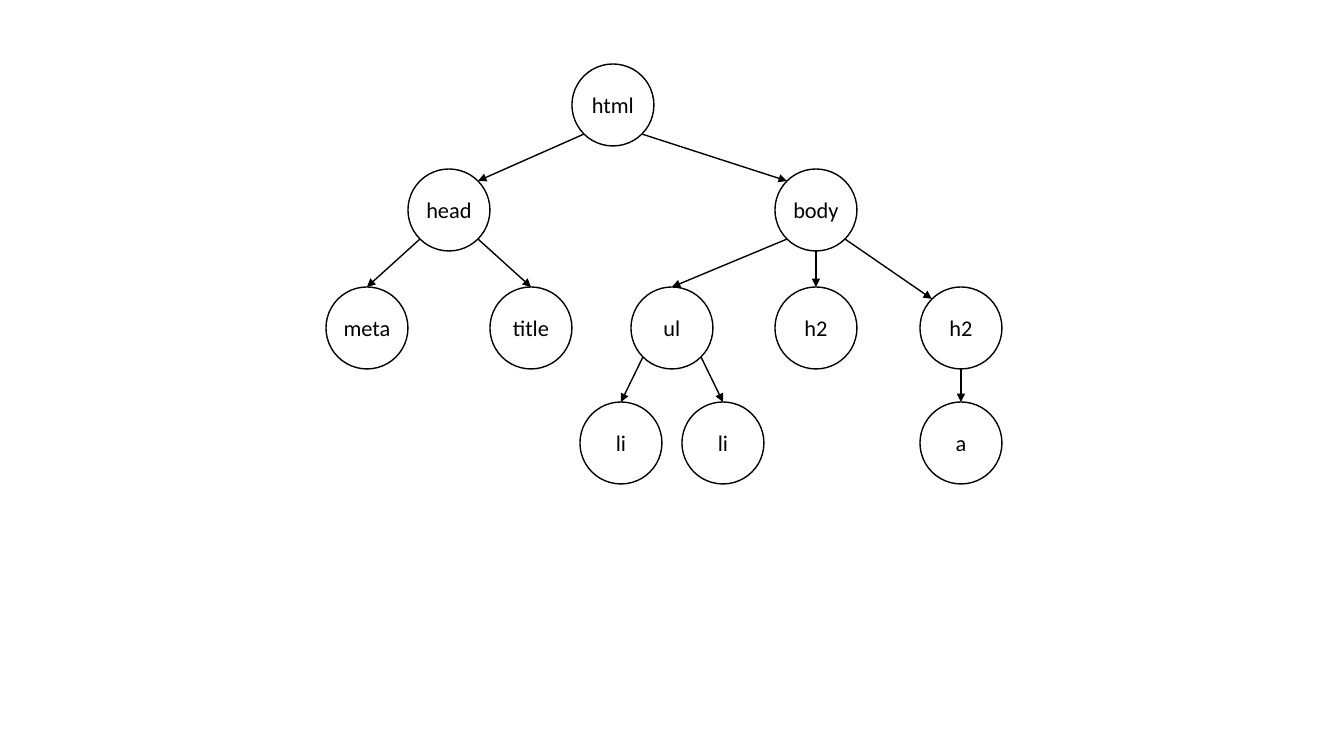
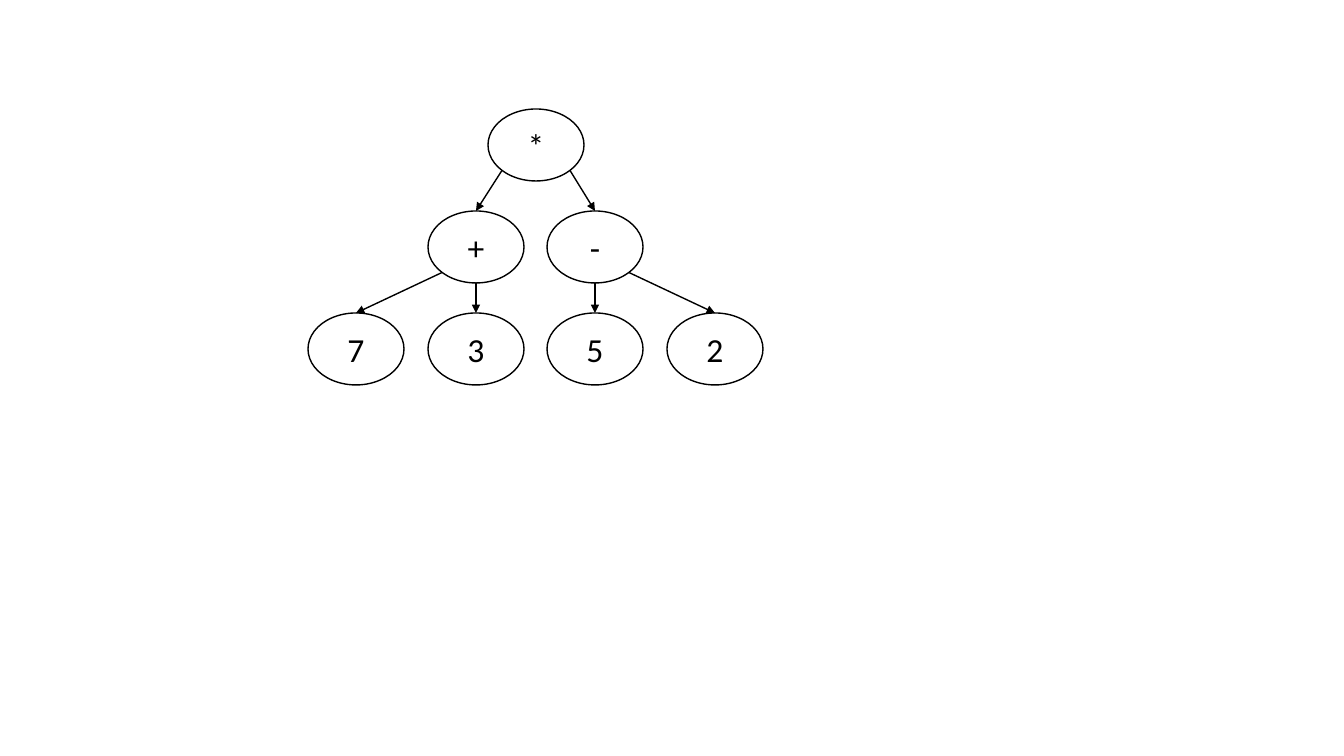
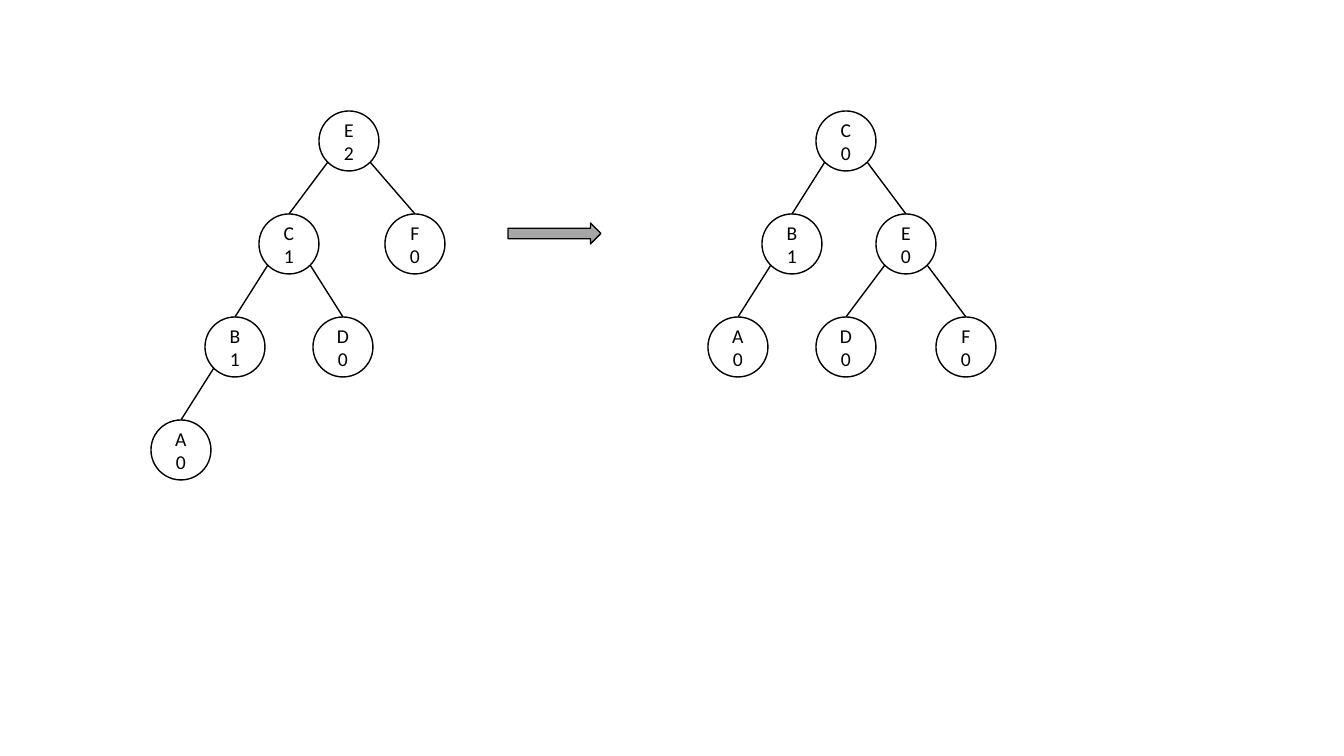
from dataclasses import dataclass

from lxml import etree
from pptx import Presentation
from pptx.dml.color import RGBColor
from pptx.enum.shapes import MSO_CONNECTOR, MSO_SHAPE
from pptx.enum.text import MSO_ANCHOR, PP_ALIGN
from pptx.oxml.ns import qn
from pptx.util import Emu, Pt

ELLIPSE = MSO_SHAPE.OVAL
RIGHT_ARROW = MSO_SHAPE.RIGHT_ARROW
STRAIGHT = MSO_CONNECTOR.STRAIGHT
MIDDLE = MSO_ANCHOR.MIDDLE
CENTER = PP_ALIGN.CENTER

SLIDE_WIDTH, SLIDE_HEIGHT = 1344, 756
EMU_PER_PX = 12192000 / SLIDE_WIDTH
BLANK_LAYOUT = 6

FONT = "Calibri"
WHITE, BLACK, GREY = "FFFFFF", "000000", "A6A6A6"
LINE_WIDTH = 1

# Each site is the direction from the centre of an ellipse, in radii.
DIAGONAL = 0.71
TOP, BOTTOM = (0, -1), (0, 1)
TOP_LEFT, TOP_RIGHT = (-DIAGONAL, -DIAGONAL), (DIAGONAL, -DIAGONAL)
BOTTOM_LEFT, BOTTOM_RIGHT = (-DIAGONAL, DIAGONAL), (DIAGONAL, DIAGONAL)


@dataclass
class Node:
    """A tree node: left offset in the tree, level, index of its parent, entry site."""
    text: str
    left: int
    level: int
    parent: int = None
    entry: tuple = TOP


@dataclass
class TreeStyle:
    node_width: int
    node_height: int
    level_tops: tuple
    font_size: int
    arrows: bool = True


HTML_STYLE = TreeStyle(82, 82, (0, 105, 223, 338), 16)
HTML_NODES = [
    Node("html", 246, 0),
    Node("head", 82, 1, 0, TOP_RIGHT),
    Node("body", 449, 1, 0, TOP_LEFT),
    Node("meta", 0, 2, 1),
    Node("title", 164, 2, 1),
    Node("ul", 305, 2, 2),
    Node("h2", 449, 2, 2),
    Node("h2", 594, 2, 2, TOP_LEFT),
    Node("li", 254, 3, 5),
    Node("li", 356, 3, 5),
    Node("a", 594, 3, 7),
]

EXPRESSION_STYLE = TreeStyle(96, 72, (0, 102, 204), 24)
EXPRESSION_NODES = [
    Node("*", 180, 0),
    Node("+", 120, 1, 0),
    Node("-", 239, 1, 0),
    Node("7", 0, 2, 1),
    Node("3", 120, 2, 1),
    Node("5", 239, 2, 2),
    Node("2", 359, 2, 2),
]

BALANCE_STYLE = TreeStyle(60, 60, (0, 103, 206, 309), 14, arrows=False)
UNBALANCED_NODES = [
    Node("E\n2", 168, 0),
    Node("C\n1", 108, 1, 0),
    Node("F\n0", 234, 1, 0),
    Node("B\n1", 54, 2, 1),
    Node("D\n0", 162, 2, 1),
    Node("A\n0", 0, 3, 3),
]
BALANCED_NODES = [
    Node("C\n0", 108, 0),
    Node("B\n1", 54, 1, 0),
    Node("E\n0", 168, 1, 0),
    Node("A\n0", 0, 2, 1),
    Node("D\n0", 108, 2, 2),
    Node("F\n0", 228, 2, 2),
]


def px(length):
    return Emu(round(length * EMU_PER_PX))


def color(hex_text):
    return RGBColor.from_string(hex_text)


def style_line(line):
    line.color.rgb = color(BLACK)
    line.width = Pt(LINE_WIDTH)


def add_outlined_shape(page, kind, left, top, width, height, fill):
    shape = page.shapes.add_shape(kind, px(left), px(top), px(width), px(height))
    shape.shadow.inherit = False
    shape.fill.solid()
    shape.fill.fore_color.rgb = color(fill)
    style_line(shape.line)
    return shape


def add_centred_text(shape, text, font_size):
    """Write each line of the text as a centred paragraph."""
    frame = shape.text_frame
    frame.word_wrap = True
    frame.vertical_anchor = MIDDLE
    frame.margin_left = frame.margin_right = 0
    frame.margin_top = frame.margin_bottom = 0
    for index, line in enumerate(text.split("\n")):
        para = frame.add_paragraph() if index else frame.paragraphs[0]
        para.alignment = CENTER
        span = para.add_run()
        span.text = line
        span.font.name = FONT
        span.font.size = Pt(font_size)
        span.font.color.rgb = color(BLACK)


def add_edge(page, start, end, arrow):
    edge = page.shapes.add_connector(STRAIGHT, *map(px, start + end))
    style_line(edge.line)
    properties = edge.element.spPr
    if arrow:
        line = properties.find(qn("a:ln"))
        etree.SubElement(line, qn("a:tailEnd"), type="triangle")
    etree.SubElement(properties, qn("a:effectLst"))


def add_tree(page, left, top, nodes, style):
    """Place the nodes from the tree's top left corner, then join them to their parents."""
    width, height = style.node_width, style.node_height

    def site_point(node, site):
        across, down = site
        return (left + node.left + width / 2 * (1 + across),
                top + style.level_tops[node.level] + height / 2 * (1 + down))

    for node in nodes:
        shape = add_outlined_shape(page, ELLIPSE, left + node.left,
                                   top + style.level_tops[node.level],
                                   width, height, WHITE)
        add_centred_text(shape, node.text, style.font_size)

    for node in nodes:
        if node.parent is None:
            continue
        parent = nodes[node.parent]
        if node.left < parent.left:
            leave = BOTTOM_LEFT
        elif node.left > parent.left:
            leave = BOTTOM_RIGHT
        else:
            leave = BOTTOM
        add_edge(page, site_point(parent, leave), site_point(node, node.entry), style.arrows)


def add_page(deck):
    return deck.slides.add_slide(deck.slide_layouts[BLANK_LAYOUT])


def add_html_page(deck):
    add_tree(add_page(deck), 326, 64, HTML_NODES, HTML_STYLE)


def add_expression_page(deck):
    add_tree(add_page(deck), 308, 109, EXPRESSION_NODES, EXPRESSION_STYLE)


def add_rotation_page(deck):
    page = add_page(deck)
    add_tree(page, 151, 111, UNBALANCED_NODES, BALANCE_STYLE)
    add_tree(page, 708, 111, BALANCED_NODES, BALANCE_STYLE)
    add_outlined_shape(page, RIGHT_ARROW, 508, 223, 93, 21, GREY)


def main():
    deck = Presentation()
    deck.slide_width, deck.slide_height = px(SLIDE_WIDTH), px(SLIDE_HEIGHT)
    add_html_page(deck)
    add_expression_page(deck)
    add_rotation_page(deck)
    deck.save("out.pptx")


if __name__ == "__main__":
    main()
